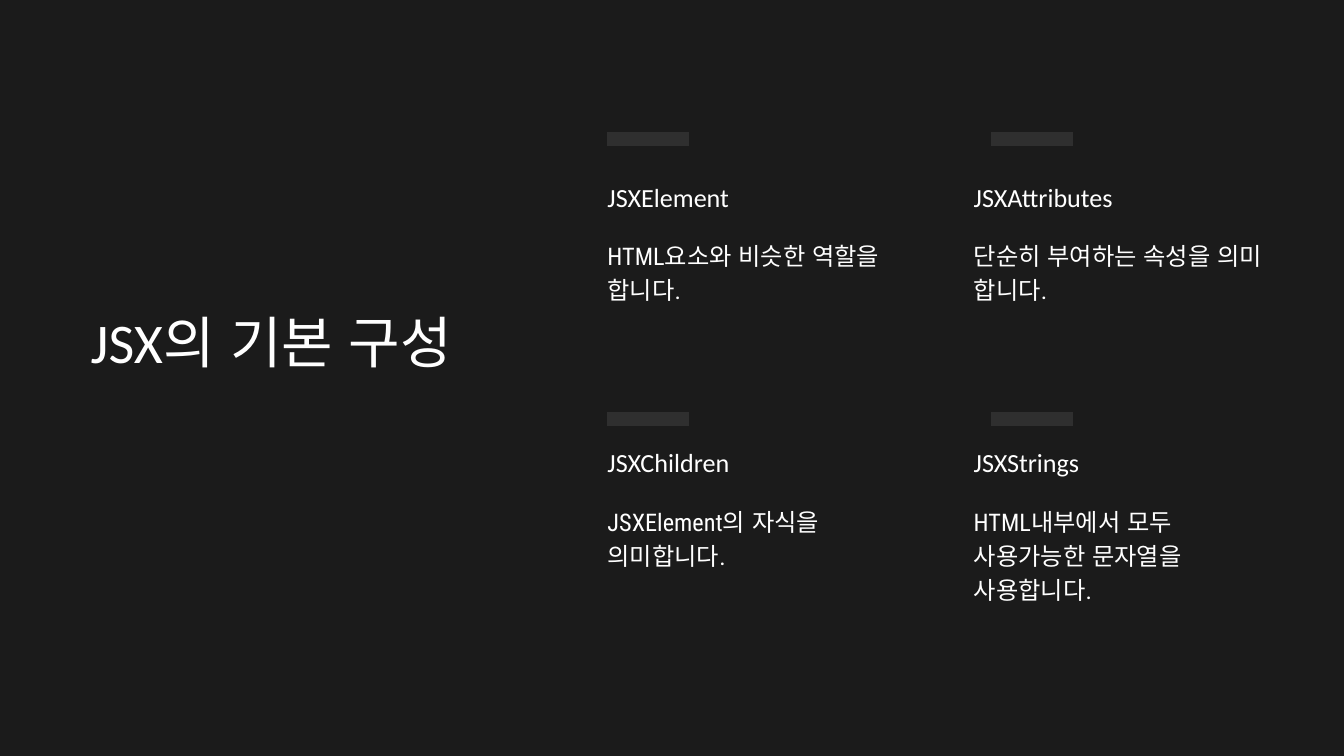
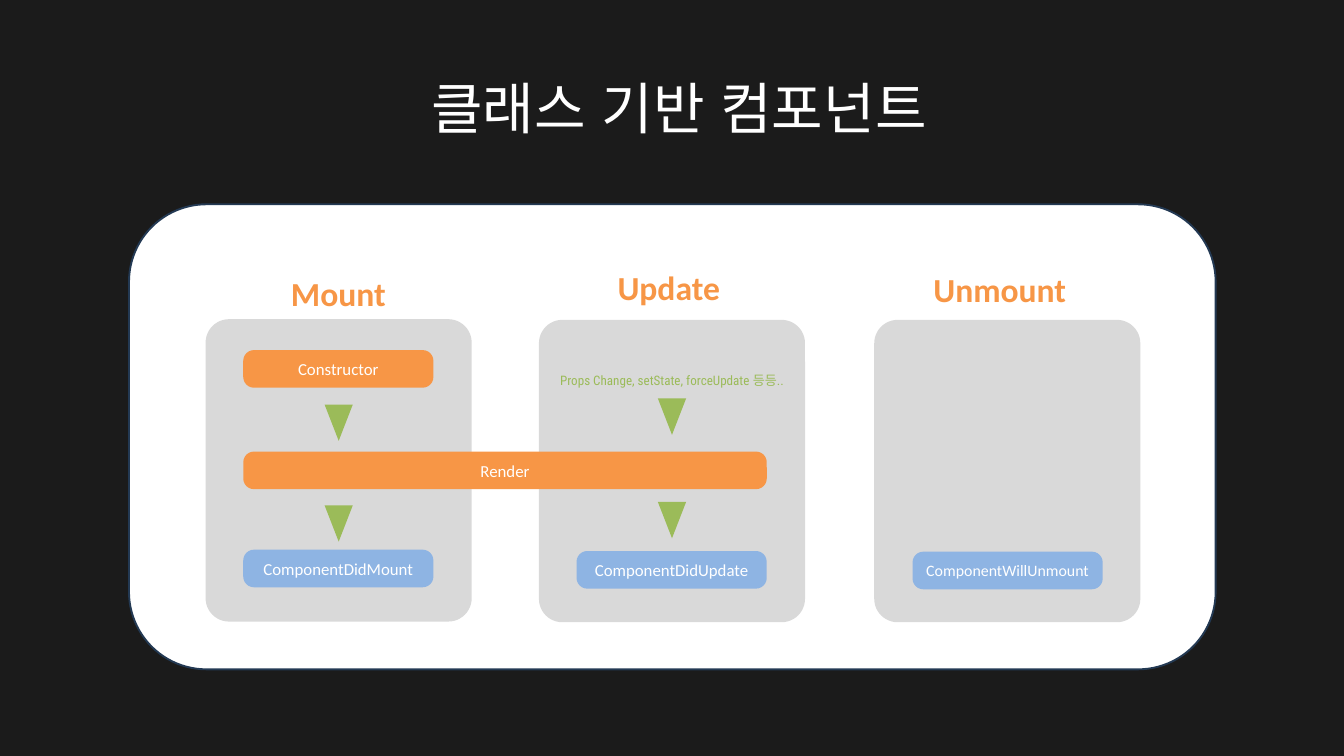
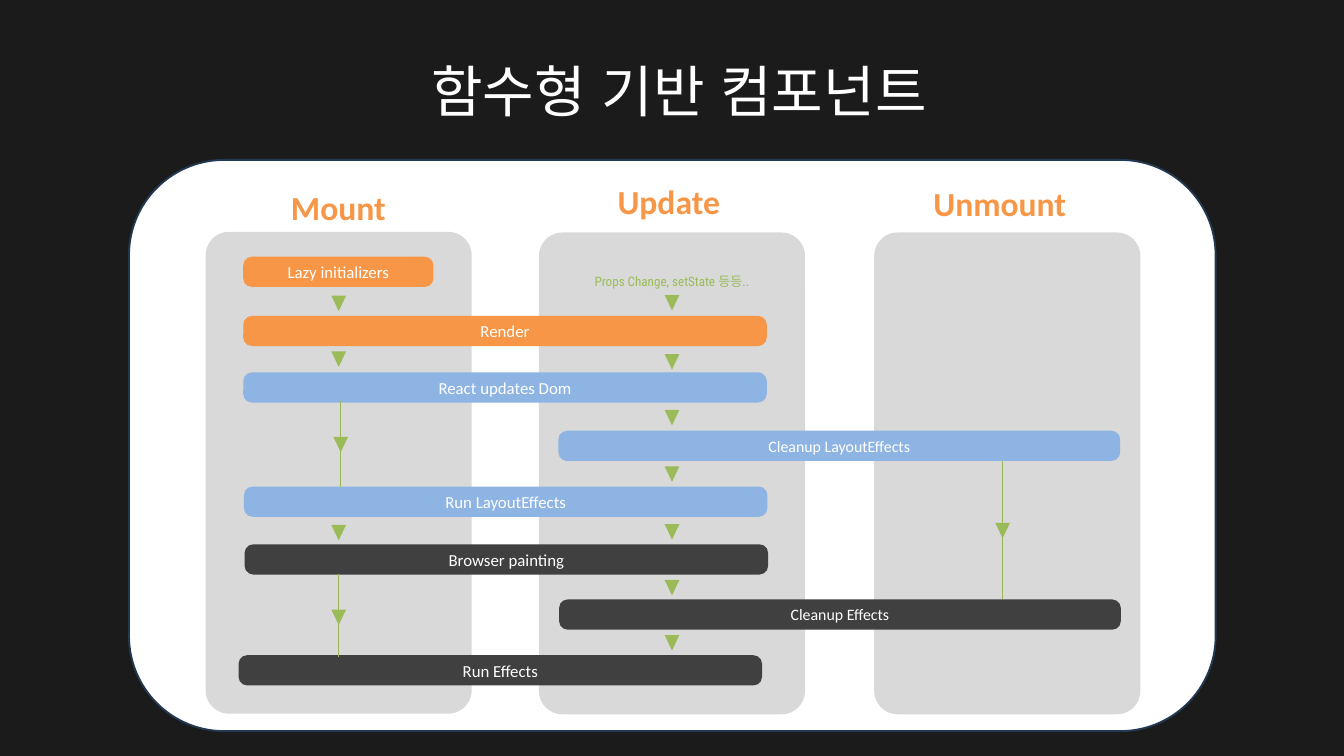
from dataclasses import dataclass

from lxml.etree import SubElement
from pptx import Presentation
from pptx.dml.color import RGBColor
from pptx.enum.lang import MSO_LANGUAGE_ID as Lang
from pptx.enum.shapes import MSO_CONNECTOR as Connector, MSO_SHAPE as Shape
from pptx.enum.text import MSO_ANCHOR as Anchor, MSO_AUTO_SIZE as AutoSize, PP_ALIGN as Align
from pptx.oxml.ns import qn
from pptx.util import Pt

PX = 9144  # 100 px to the inch


@dataclass(frozen=True)
class Theme:
    ground: str = "1B1B1B"
    white: str = "FFFFFF"
    frame: str = "233953"
    panel: str = "D9D9D9"
    accent: str = "2F2F2F"
    orange: str = "F79646"
    blue: str = "8EB4E3"
    dark: str = "404040"
    green: str = "9BBB59"
    stem: str = "98B955"
    head_font: str = "Calibri"
    body_font: str = "Roboto Condensed"
    title_size: int = 60
    stage_size: int = 36
    term_size: int = 28
    body_size: int = 26
    step_size: int = 18
    small_step_size: int = 17
    trigger_size: int = 14


T = Theme()

# Text styles: font values, colour, alignment, exact line height
HEAD = dict(name=T.head_font, bold=False)
BODY = dict(name=T.body_font, bold=False)
STYLES = {
    "title": (HEAD | dict(size=Pt(T.title_size)), T.white, Align.LEFT, Pt(84)),
    "stage": (HEAD | dict(size=Pt(T.stage_size), bold=True), T.orange, Align.LEFT, Pt(84)),
    "term": (HEAD | dict(size=Pt(T.term_size)), T.white, Align.LEFT, Pt(39.2)),
    "meaning": (BODY | dict(size=Pt(T.body_size)), T.white, Align.LEFT, Pt(36.4)),
    "trigger": (BODY | dict(size=Pt(T.trigger_size)), T.green, Align.CENTER, Pt(36.4)),
    "step": (HEAD | dict(size=Pt(T.step_size)), T.white, Align.CENTER, None),
    "small step": (HEAD | dict(size=Pt(T.small_step_size)), T.white, Align.CENTER, None),
}
FITTED = dict(margin_left=0, margin_top=0, margin_right=0, margin_bottom=0,
              word_wrap=True, vertical_anchor=Anchor.TOP,
              auto_size=AutoSize.SHAPE_TO_FIT_TEXT)
CENTRED = dict(word_wrap=True, vertical_anchor=Anchor.MIDDLE)


def write(holder, text, style, frame_format=FITTED, box=None):
    """Place the holder if a box is given, then set one formatted paragraph in it."""
    if box:
        holder.left, holder.top, holder.width, holder.height = (v * PX for v in box)
    for attr, value in frame_format.items():
        setattr(holder.text_frame, attr, value)
    font_format, color, align, leading = STYLES[style]
    paragraph = holder.text_frame.paragraphs[0]
    paragraph.alignment, paragraph.line_spacing = align, leading
    run = paragraph.add_run()
    run.text = text
    for attr, value in font_format.items():
        setattr(run.font, attr, value)
    run.font.language_id = Lang.KOREAN
    run.font.color.rgb = RGBColor.from_string(color)


def block(slide, preset, box, fill, corner=None):
    """Add a flat filled shape without an outline."""
    shape = slide.shapes.add_shape(preset, *(v * PX for v in box))
    shape.shadow.inherit = False
    shape.fill.solid()
    shape.fill.fore_color.rgb = RGBColor.from_string(fill)
    shape.line.fill.background()
    if corner:
        shape.adjustments[0] = corner
    return shape


deck = Presentation()
deck.slide_width, deck.slide_height = 2000 * PX, 1125 * PX
backdrop = deck.slide_master.background.fill
backdrop.solid()
backdrop.fore_color.rgb = RGBColor.from_string(T.ground)
title_only = deck.slide_layouts[5]
strokes = []  # slide, start, end, colour, points

# JSX: four terms in a 2 x 2 grid
jsx = deck.slides.add_slide(title_only)
write(jsx.shapes.title, "JSX의 기본 구성", "title", box=(135, 441, 574, 110))
terms = [
    ("JSXElement", "HTML요소와 비슷한 역할을 합니다."),
    ("JSXAttributes", "단순히 부여하는 속성을 의미 합니다."),
    ("JSXChildren", "JSXElement의 자식을 의미합니다."),
    ("JSXStrings", "HTML내부에서 모두 사용가능한 문자열을 사용합니다."),
]
for i, (term, meaning) in enumerate(terms):
    row, col = divmod(i, 2)
    x, y = 904 + 545 * col, 262 + 395 * row
    for text, style, top, height in [(term, "term", y, 51), (meaning, "meaning", y + 90, 95)]:
        write(jsx.shapes.add_textbox(0, 0, 0, 0), text, style, box=(x, top, 438, height))
    bar_x, bar_y = 904 + 571 * col, 207 + 417 * row
    strokes.append((jsx, (bar_x, bar_y), (bar_x + 122, bar_y), T.accent, 15))

# Lifecycles: steps are left, top, width, colour, label; arrows are centre, top
MOUNT, UPDATE, UNMOUNT = 504, 1000, 1492
STAGES = [  # label, heading left, drop and width, panel left and lift
    ("Mount", 433, 8, 142, 306, 1),
    ("Update", 919, 0, 162, 802, 0),
    ("Unmount", 1389, 2, 221, 1301, 0),
]
lifecycles = [
    dict(title="클래스 기반 컴포넌트", title_top=93, card=(304, 692),
         heading_top=341, panel=(476, 450), trigger_top=527,
         trigger="Props Change, setState, forceUpdate 등등..",
         step_height=56, arrow=(42, 54),
         steps=[(362, 521, 283, T.orange, "Constructor"),
                (362, 672, 779, T.orange, "Render"),
                (362, 818, 283, T.blue, "ComponentDidMount"),
                (858, 820, 283, T.blue, "ComponentDidUpdate"),
                (1358, 821, 283, T.blue, "ComponentWillUnmount")],
         arrows=[(MOUNT, 602), (MOUNT, 752), (UPDATE, 593), (UPDATE, 747)],
         stems=[]),
    dict(title="함수형 기반 컴포넌트", title_top=67, card=(238, 850),
         heading_top=213, panel=(346, 717), trigger_top=380,
         trigger="Props Change, setState 등등..",
         step_height=45, arrow=(22, 23),
         steps=[(362, 382, 283, T.orange, "Lazy initializers"),
                (362, 470, 779, T.orange, "Render"),
                (362, 554, 779, T.blue, "React updates Dom"),
                (831, 641, 836, T.blue, "Cleanup LayoutEffects"),
                (363, 724, 779, T.blue, "Run LayoutEffects"),
                (364, 810, 779, T.dark, "Browser painting"),
                (832, 892, 836, T.dark, "Cleanup Effects"),
                (355, 975, 779, T.dark, "Run Effects")],
         arrows=[(MOUNT, 440), (MOUNT, 523), (507, 650), (MOUNT, 781), (MOUNT, 907),
                 (UPDATE, 439), (UPDATE, 527), (UPDATE, 610), (UPDATE, 694),
                 (UPDATE, 780), (UPDATE, 863), (UPDATE, 945), (UNMOUNT, 778)],
         stems=[(506, 596, 724), (503, 854, 977), (1492, 686, 892)]),
]
for cycle in lifecycles:
    slide = deck.slides.add_slide(title_only)
    write(slide.shapes.title, cycle["title"], "title", box=(642, cycle["title_top"], 818, 110))

    # White card with a panel and a heading for each stage
    card_top, card_height = cycle["card"]
    card = block(slide, Shape.ROUNDED_RECTANGLE, (192, card_top, 1617, card_height), T.white)
    card.line.color.rgb = RGBColor.from_string(T.frame)
    card.line.width = Pt(2)
    panel_top, panel_height = cycle["panel"]
    for stage, x, drop, width, panel_x, lift in STAGES:
        block(slide, Shape.ROUNDED_RECTANGLE,
              (panel_x, panel_top - lift, 396, panel_height), T.panel, 0.088)
        write(slide.shapes.add_textbox(0, 0, 0, 0), stage, "stage",
              box=(x, cycle["heading_top"] + drop, width, 102))

    # Steps, trigger and arrows
    for x, y, width, color, label in cycle["steps"]:
        step = block(slide, Shape.ROUNDED_RECTANGLE,
                     (x, y, width, cycle["step_height"]), color, 0.285)
        in_unmount = x + width > 1301
        write(step, label, "small step" if in_unmount else "step", CENTRED)
    write(slide.shapes.add_textbox(0, 0, 0, 0), cycle["trigger"], "trigger",
          box=(760, cycle["trigger_top"], 480, 42))
    arrow_width, arrow_height = cycle["arrow"]
    for centre, y in cycle["arrows"]:
        arrow = block(slide, Shape.ISOSCELES_TRIANGLE,
                      (centre - arrow_width // 2, y, arrow_width, arrow_height), T.green)
        arrow.rotation = 180
    for x, top, bottom in cycle["stems"]:
        strokes.append((slide, (x, top), (x, bottom), T.stem, 0.75))

# Accent bars and arrow stems
for slide, start, end, color, points in strokes:
    stroke = slide.shapes.add_connector(Connector.STRAIGHT, *(v * PX for v in start + end))
    stroke.line.color.rgb = RGBColor.from_string(color)
    stroke.line.width = Pt(points)
    SubElement(stroke._element.spPr, qn("a:effectLst"))

deck.save("out.pptx")
